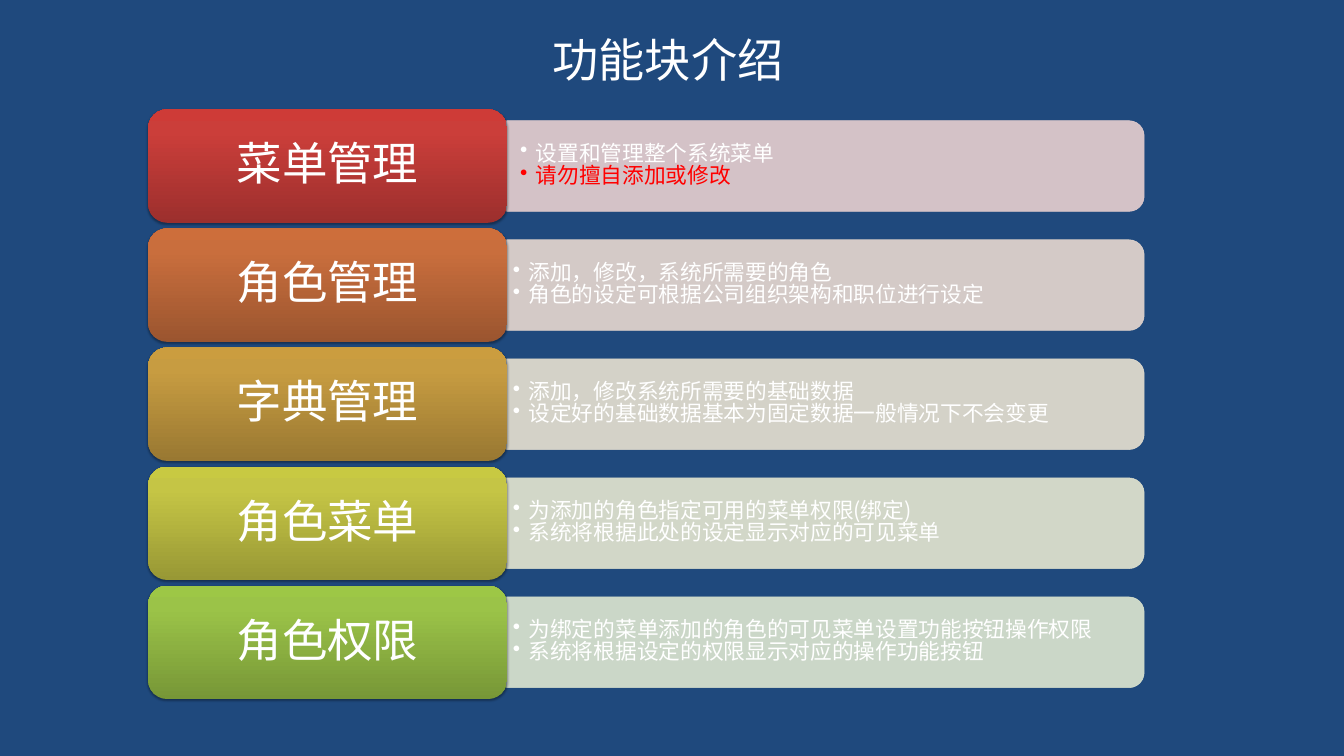
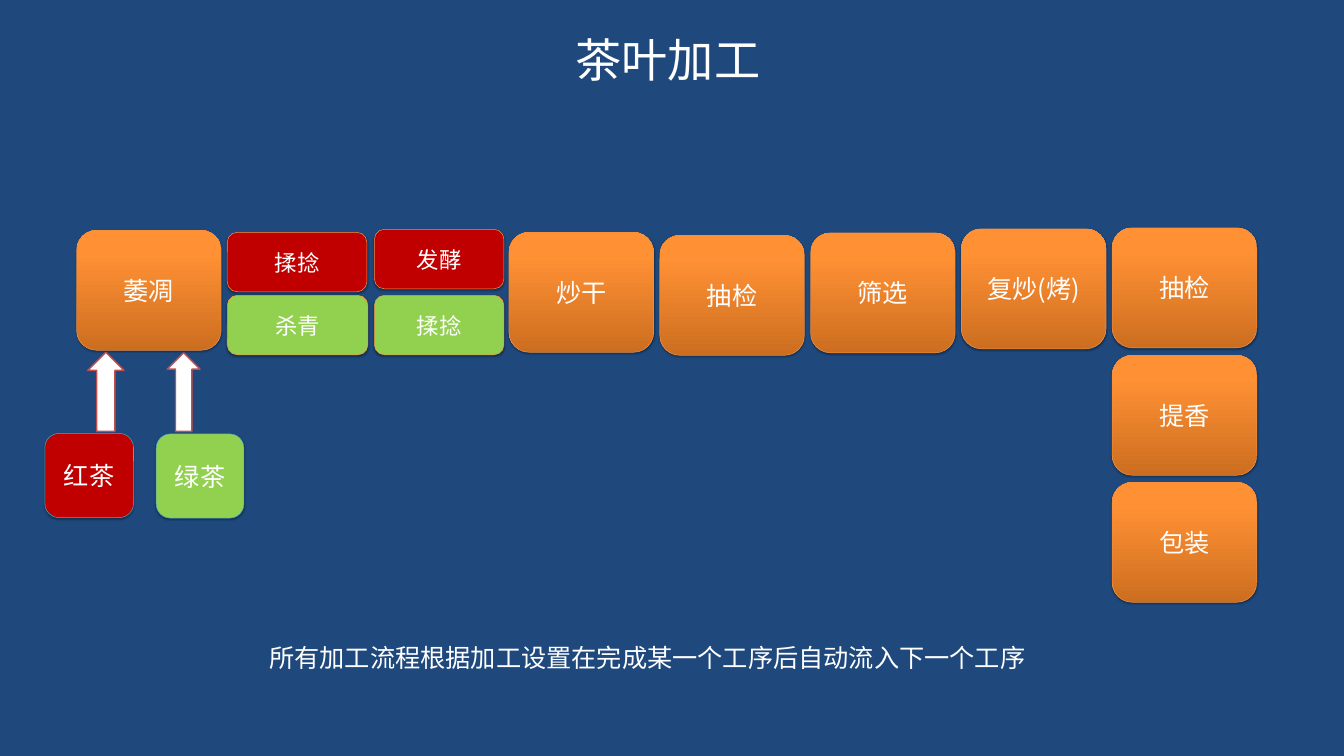
from copy import deepcopy
from dataclasses import dataclass

from lxml.etree import SubElement
from pptx import Presentation
from pptx.dml.color import RGBColor
from pptx.enum.shapes import MSO_SHAPE as SHAPE
from pptx.enum.text import MSO_ANCHOR as ANCHOR, MSO_AUTO_SIZE as FIT, PP_ALIGN as ALIGN
from pptx.oxml.ns import qn
from pptx.util import Inches, Pt

NAVY = RGBColor(0x1F, 0x49, 0x7D)
WHITE = RGBColor(0xFF, 0xFF, 0xFF)
WARNING = RGBColor(0xFF, 0x00, 0x00)
RED_TEA = RGBColor(0xC0, 0x00, 0x00)
GREEN_TEA = RGBColor(0x92, 0xD0, 0x50)
STEP_EDGE = RGBColor(0xF6, 0x92, 0x40)
TEA_EDGE = RGBColor(0x46, 0xAA, 0xC5)
ARROW_EDGE = RGBColor(0xC0, 0x50, 0x4D)
STEP_SHADES = (RGBColor(0xCC, 0x6E, 0x20), RGBColor(0xFF, 0x90, 0x34), RGBColor(0xFF, 0x91, 0x36))
STOPS = (0, 0.8, 1)
CJK_FONT = "Noto Sans CJK SC"
LATIN_FONT = "Calibri"


@dataclass(frozen=True)
class Box:
    left: float
    top: float
    width: float
    height: float

    def emu(self) -> tuple:
        return tuple(Inches(v) for v in (self.left, self.top, self.width, self.height))


@dataclass(frozen=True)
class Module:
    name: str
    points: tuple
    shades: tuple
    tint: RGBColor
    inset: tuple = (0.13, 0.06)
    last_color: RGBColor = WHITE


@dataclass(frozen=True)
class Tile:
    text: str
    box: Box
    fill: object = STEP_SHADES
    edge: RGBColor = STEP_EDGE
    size: int = 36


MODULES = (
    Module("菜单管理", ("设置和管理整个系统菜单", "请勿擅自添加或修改"),
           (RGBColor(0x9C, 0x2F, 0x2D), RGBColor(0xCB, 0x3E, 0x3A), RGBColor(0xCE, 0x3B, 0x37)),
           RGBColor(0xE8, 0xD0, 0xD0), (0.27, 0.14), WARNING),
    Module("角色管理", ("添加，修改，系统所需要的角色", "角色的设定可根据公司组织架构和职位进行设定"),
           (RGBColor(0x9B, 0x55, 0x2F), RGBColor(0xC9, 0x6E, 0x3D), RGBColor(0xCD, 0x6E, 0x3B)),
           RGBColor(0xE8, 0xD9, 0xD0)),
    Module("字典管理", ("添加，修改系统所需要的基础数据", "设定好的基础数据基本为固定数据一般情况下不会变更"),
           (RGBColor(0x99, 0x78, 0x32), RGBColor(0xC7, 0x9C, 0x41), RGBColor(0xCB, 0x9D, 0x3F)),
           RGBColor(0xE8, 0xE1, 0xD1)),
    Module("角色菜单", ("为添加的角色指定可用的菜单权限(绑定)", "系统将根据此处的设定显示对应的可见菜单"),
           (RGBColor(0x98, 0x98, 0x35), RGBColor(0xC5, 0xC5, 0x45), RGBColor(0xC8, 0xC9, 0x42)),
           RGBColor(0xE6, 0xE7, 0xD1)),
    Module("角色权限", ("为绑定的菜单添加的角色的可见菜单设置功能按钮操作权限", "系统将根据设定的权限显示对应的操作功能按钮"),
           (RGBColor(0x77, 0x97, 0x37), RGBColor(0x9B, 0xC3, 0x48), RGBColor(0x9D, 0xC7, 0x46)),
           RGBColor(0xDE, 0xE7, 0xD1)),
)
MODULE_TOP, MODULE_PITCH = 2.17, 2.3625

STEP_W, STEP_H = 2.87, 2.38
CHAIN_LEFT, CHAIN_PITCH = 10.1, 2.9925
CHAIN = (("炒干", 4.61), ("抽检", 4.67), ("筛选", 4.62), ("复炒(烤)", 4.54), ("抽检", 4.52))
FINISH_LEFT, FINISH_TOP, FINISH_PITCH = 22.07, 7.05, 2.52
FINISH = ("提香", "包装")
BRANCHES = (
    Tile("揉捻", Box(4.51, 4.61, 2.77, 1.18), RED_TEA, size=32),
    Tile("发酵", Box(7.43, 4.55, 2.57, 1.18), RED_TEA, size=32),
    Tile("杀青", Box(4.51, 5.86, 2.79, 1.18), GREEN_TEA, size=32),
    Tile("揉捻", Box(7.43, 5.86, 2.57, 1.18), GREEN_TEA, size=32),
)
TEAS = (
    Tile("红茶", Box(0.89, 8.6, 1.76, 1.67), RED_TEA, TEA_EDGE),
    Tile("绿茶", Box(3.1, 8.61, 1.74, 1.67), GREEN_TEA, TEA_EDGE),
)
ARROWS = (Box(1.74, 6.99, 0.72, 1.57), Box(3.32, 7, 0.65, 1.56))


def write(tf, *lines: str, size: float, font: str = CJK_FONT, color: RGBColor = WHITE,
          last_color: RGBColor | None = None, align=ALIGN.CENTER, anchor=ANCHOR.MIDDLE,
          spacing: float = 1.0, inset: tuple = (0.1, 0.05), bullet: bool = False,
          wrap: bool = True, fit=FIT.NONE) -> None:
    tf.word_wrap = wrap
    tf.auto_size = fit
    tf.vertical_anchor = anchor
    tf.margin_left = tf.margin_right = Inches(inset[0])
    tf.margin_top = tf.margin_bottom = Inches(inset[1])
    for i, line in enumerate(lines):
        p = tf.add_paragraph() if i else tf.paragraphs[0]
        p.alignment = align
        p.line_spacing = spacing
        if bullet:
            add_bullet(p)
        r = p.add_run()
        r.text = line
        r.font.size = Pt(size)
        r.font.name = font
        is_last = i == len(lines) - 1
        r.font.color.rgb = last_color if last_color and is_last else color
        SubElement(r.font._element, qn("a:ea"), typeface=font)


def add_bullet(p) -> None:
    p.level = 1
    pPr = p._p.get_or_add_pPr()
    pPr.set("marL", str(Inches(0.31)))
    pPr.set("indent", str(-Inches(0.31)))
    SubElement(pPr, qn("a:buChar"), char="•")


def add_shape(s, kind, box: Box, fill, edge: RGBColor | None = None,
              edge_width: float = 0.75, shadow: bool = False):
    sp = s.shapes.add_shape(kind, *box.emu())
    if isinstance(fill, RGBColor):
        sp.fill.solid()
        sp.fill.fore_color.rgb = fill
    else:
        shade(sp, fill)
    if edge is None:
        sp.line.fill.background()
    else:
        sp.line.color.rgb = edge
        sp.line.width = Pt(edge_width)
    sp.shadow.inherit = False
    if shadow:
        cast_shadow(sp)
    return sp


def shade(sp, colors: tuple) -> None:
    sp.fill.gradient()
    stops = sp._element.spPr.find(f".//{qn('a:gsLst')}")
    stops.append(deepcopy(stops[-1]))
    for stop, position, color in zip(sp.fill.gradient_stops, STOPS, colors):
        stop.position = position
        stop.color.rgb = color
    sp.fill.gradient_angle = 90


def cast_shadow(sp) -> None:
    effects = sp._element.spPr.find(qn("a:effectLst"))
    outer = SubElement(effects, qn("a:outerShdw"), blurRad=str(Pt(3.1)), dist=str(Pt(1.8)),
                       dir="5400000", rotWithShape="0")
    color = SubElement(outer, qn("a:srgbClr"), val="000000")
    SubElement(color, qn("a:alpha"), val="35000")


def set_opacity(sp, percent: int) -> None:
    for color in sp._element.spPr.iter(qn("a:srgbClr")):
        SubElement(color, qn("a:alpha"), val=str(percent * 1000))


def add_slide(prs, title: str, title_height: float):
    s = prs.slides.add_slide(prs.slide_layouts[5])
    sp = s.shapes.title
    sp.left, sp.top, sp.width, sp.height = Box(0.26, 0.18, 25.99, title_height).emu()
    write(sp.text_frame, title, size=66, spacing=1.3, anchor=ANCHOR.TOP, inset=(0.21, 0.11))
    return s


def add_module(s, module: Module, top: float) -> None:
    panel = add_shape(s, SHAPE.ROUND_2_SAME_RECTANGLE, Box(15.48, top - 5.2, 1.8, 12.65),
                      module.tint, module.tint)
    panel.rotation = 90
    set_opacity(panel, 90)
    points = s.shapes.add_textbox(*Box(10.05, top + 0.31, 12.56, 1.62).emu())
    write(points.text_frame, *module.points, size=31, last_color=module.last_color,
          align=ALIGN.LEFT, spacing=0.85, inset=module.inset, bullet=True)
    label = add_shape(s, SHAPE.ROUNDED_RECTANGLE, Box(2.94, top, 7.12, 2.25),
                      module.shades, shadow=True)
    write(label.text_frame, module.name, size=65, spacing=0.9, inset=(0.38, 0.25))


def add_tile(s, tile: Tile) -> None:
    sp = add_shape(s, SHAPE.ROUNDED_RECTANGLE, tile.box, tile.fill, tile.edge, shadow=True)
    write(sp.text_frame, tile.text, size=tile.size)


def build_modules(prs) -> None:
    s = add_slide(prs, "功能块介绍", 1.68)
    for i, module in enumerate(MODULES):
        add_module(s, module, MODULE_TOP + i * MODULE_PITCH)


def build_process(prs) -> None:
    s = add_slide(prs, "茶叶加工", 1.88)
    chain = [Tile(text, Box(CHAIN_LEFT + i * CHAIN_PITCH, top, STEP_W, STEP_H))
             for i, (text, top) in enumerate(CHAIN)]
    finish = [Tile(text, Box(FINISH_LEFT, FINISH_TOP + i * FINISH_PITCH, STEP_W, STEP_H))
              for i, text in enumerate(FINISH)]
    start = Tile("萎凋", Box(1.52, 4.57, STEP_W, STEP_H))
    for tile in (start, *BRANCHES, *chain, *finish, *TEAS):
        add_tile(s, tile)
    for box in ARROWS:
        add_shape(s, SHAPE.UP_ARROW, box, WHITE, ARROW_EDGE, 2)
    note = s.shapes.add_textbox(*Box(5.17, 12.7, 15.35, 0.71).emu())
    write(note.text_frame, "所有加工流程根据加工设置在完成某一个工序后自动流入下一个工序", size=36,
          font=LATIN_FONT, anchor=ANCHOR.TOP, wrap=False, fit=FIT.SHAPE_TO_FIT_TEXT)


def main() -> None:
    prs = Presentation()
    prs.slide_width, prs.slide_height = Inches(26.67), Inches(15)
    background = prs.slide_master.background.fill
    background.solid()
    background.fore_color.rgb = NAVY
    build_modules(prs)
    build_process(prs)
    prs.save("out.pptx")


if __name__ == "__main__":
    main()
